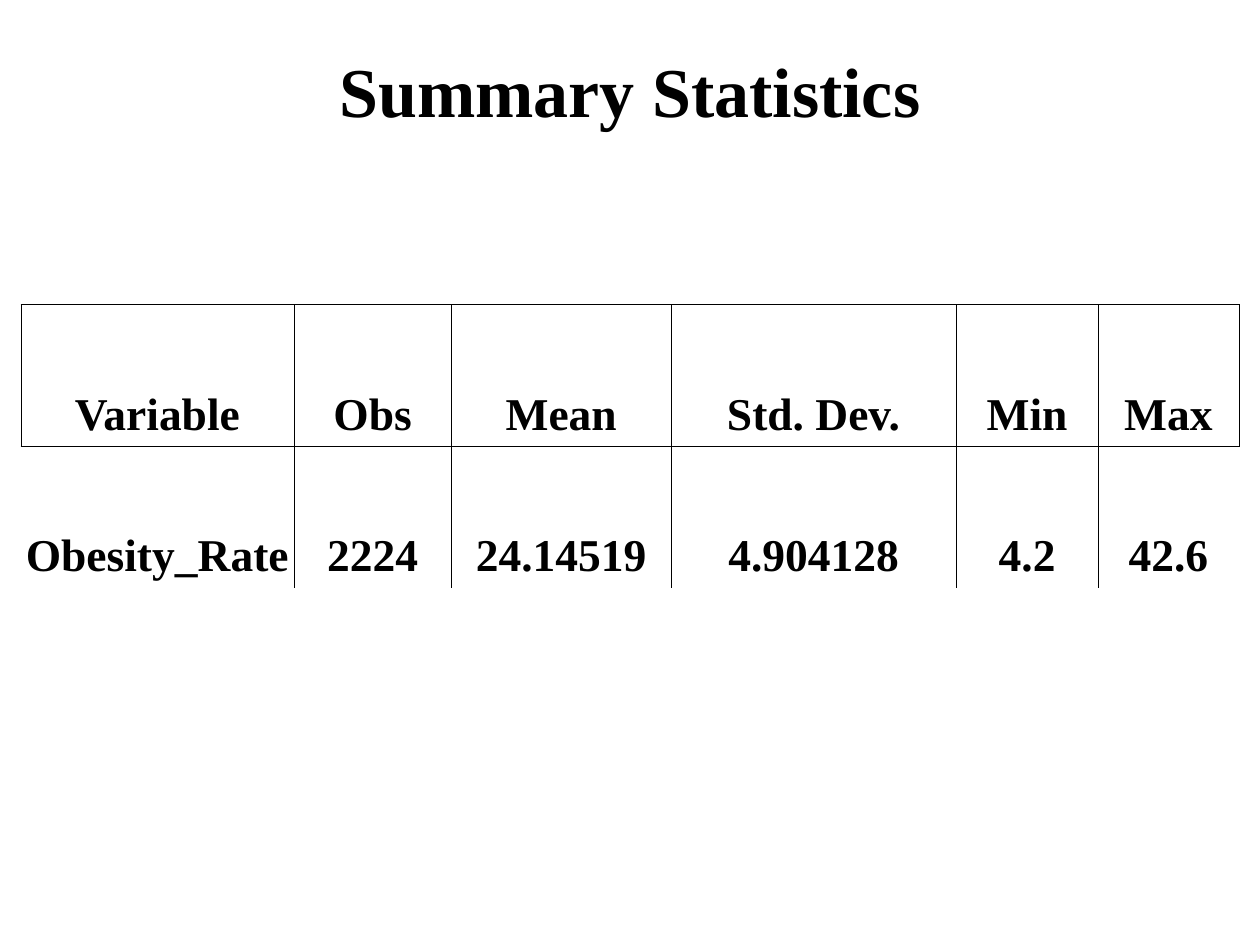
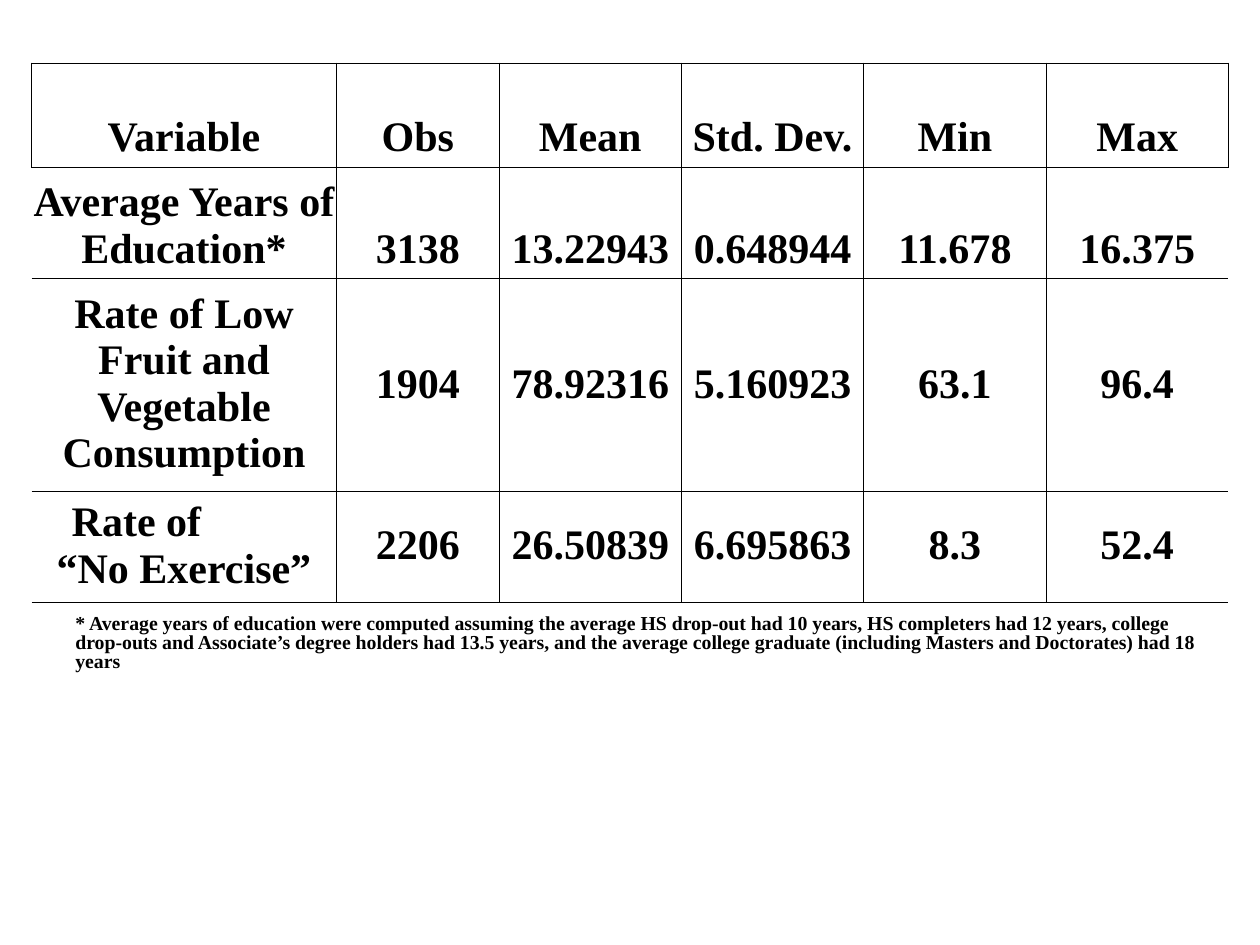
"""Build two slides of summary statistics on obesity and its covariates."""
import lxml.etree
import pptx
import pptx.dml.color
import pptx.enum.text
import pptx.oxml.ns
import pptx.util

Pt = pptx.util.Pt
qn = pptx.oxml.ns.qn
ALIGN = pptx.enum.text.PP_ALIGN
ANCHOR = pptx.enum.text.MSO_ANCHOR

COLOURS = {"ink": "000000", "paper": "FFFFFF"}
FONT = "Times New Roman"
RULE_WIDTH = 0.45
HEADINGS = ("Variable", "Obs", "Mean", "Std. Dev.", "Min", "Max")
OBESITY = [("Obesity_Rate", "2224", "24.14519", "4.904128", "4.2", "42.6")]
COVARIATES = [
    ("Average Years of Education*", "3138", "13.22943", "0.648944", "11.678", "16.375"),
    ("Rate of Low Fruit and Vegetable Consumption",
     "1904", "78.92316", "5.160923", "63.1", "96.4"),
    ("Rate of\n“No Exercise”", "2206", "26.50839", "6.695863", "8.3", "52.4"),
]
EDUCATION_NOTE = (
    "* Average years of education were computed assuming the average HS drop-out had "
    "10 years, HS completers had 12 years, college drop-outs and Associate’s degree "
    "holders had 13.5 years, and the average college graduate (including Masters and "
    "Doctorates) had 18 years"
)


def add_slide(deck):
    """Add a blank slide with the shared background."""
    slide = deck.slides.add_slide(deck.slide_layouts[6])
    fill = slide.background.fill
    fill.solid()
    fill.fore_color.rgb = pptx.dml.color.RGBColor.from_string(COLOURS["paper"])
    return slide


def write(frame, text, size, align):
    """Fill a text frame with bold text in the shared font."""
    frame.text = text
    for paragraph in frame.paragraphs:
        paragraph.alignment = align
        for run in paragraph.runs:
            run.font.name = FONT
            run.font.size = Pt(size)
            run.font.bold = True
            run.font.color.rgb = pptx.dml.color.RGBColor.from_string(COLOURS["ink"])


def add_text(slide, text, box, size, align, anchor):
    """Add a wrapping text box and return its frame."""
    frame = slide.shapes.add_textbox(*map(Pt, box)).text_frame
    frame.word_wrap = True
    frame.vertical_anchor = anchor
    write(frame, text, size, align)
    return frame


def set_borders(cell, ruled):
    """Rule the sides of a cell that are marked true and clear the others."""
    properties = cell._tc.get_or_add_tcPr()
    for side in "LRTB":
        line = lxml.etree.SubElement(properties, qn("a:ln" + side), w=str(Pt(RULE_WIDTH)))
        if ruled[side]:
            fill = lxml.etree.SubElement(line, qn("a:solidFill"))
            lxml.etree.SubElement(fill, qn("a:srgbClr"), val=COLOURS["ink"])
        else:
            lxml.etree.SubElement(line, qn("a:noFill"))


def add_statistics(slide, records, corner, widths, heights, size, closed):
    """Add a table with a boxed header and sides left open below it."""
    rows = [HEADINGS, *records]
    last_row, last_column = len(rows) - 1, len(HEADINGS) - 1
    extent = (*corner, sum(widths), sum(heights))
    table = slide.shapes.add_table(len(rows), len(HEADINGS), *map(Pt, extent)).table
    table.first_row = table.horz_banding = False
    for column, width in zip(table.columns, widths):
        column.width = Pt(width)
    for r, values in enumerate(rows):
        table.rows[r].height = Pt(heights[r])
        for c, value in enumerate(values):
            cell = table.cell(r, c)
            write(cell.text_frame, value, size, ALIGN.CENTER)
            cell.margin_left = cell.margin_right = Pt(0.7)
            cell.margin_top, cell.margin_bottom = Pt(2.5), Pt(3.6)
            cell.vertical_anchor = ANCHOR.BOTTOM if r < 2 else ANCHOR.MIDDLE
            set_borders(cell, {
                "L": r == 0 or c > 0,
                "R": r == 0 or c < last_column,
                "T": True,
                "B": r < last_row or closed,
            })
            cell.fill.background()
    return table


def indent_first_line(cell, indent):
    """Left-align the first paragraph of a cell at the given indent."""
    paragraph = cell.text_frame.paragraphs[0]
    paragraph.alignment = ALIGN.LEFT
    paragraph._p.get_or_add_pPr().set("marL", str(Pt(indent)))


def main():
    """Build and save the deck."""
    deck = pptx.Presentation()
    deck.slide_width, deck.slide_height = Pt(720), Pt(540)

    obesity = add_slide(deck)
    add_text(obesity, "Summary Statistics", (54, 24.3, 612, 54), 40,
             ALIGN.CENTER, ANCHOR.MIDDLE)
    add_statistics(obesity, OBESITY, (12, 174), (156, 90, 125.5, 163, 81, 80.5),
                   (81, 81), 26, closed=False)

    covariates = add_slide(deck)
    table = add_statistics(covariates, COVARIATES, (18, 36),
                           (174.25, 93, *[104.2] * 4), (59.5, 60, 116, 60.5),
                           24, closed=True)
    indent_first_line(table.cell(3, 0), 22.3)
    note = add_text(covariates, EDUCATION_NOTE, (36, 348, 654, 48), 11.3,
                    ALIGN.LEFT, ANCHOR.TOP)
    note.paragraphs[0].line_spacing = 0.8

    deck.save("out.pptx")


if __name__ == "__main__":
    main()
